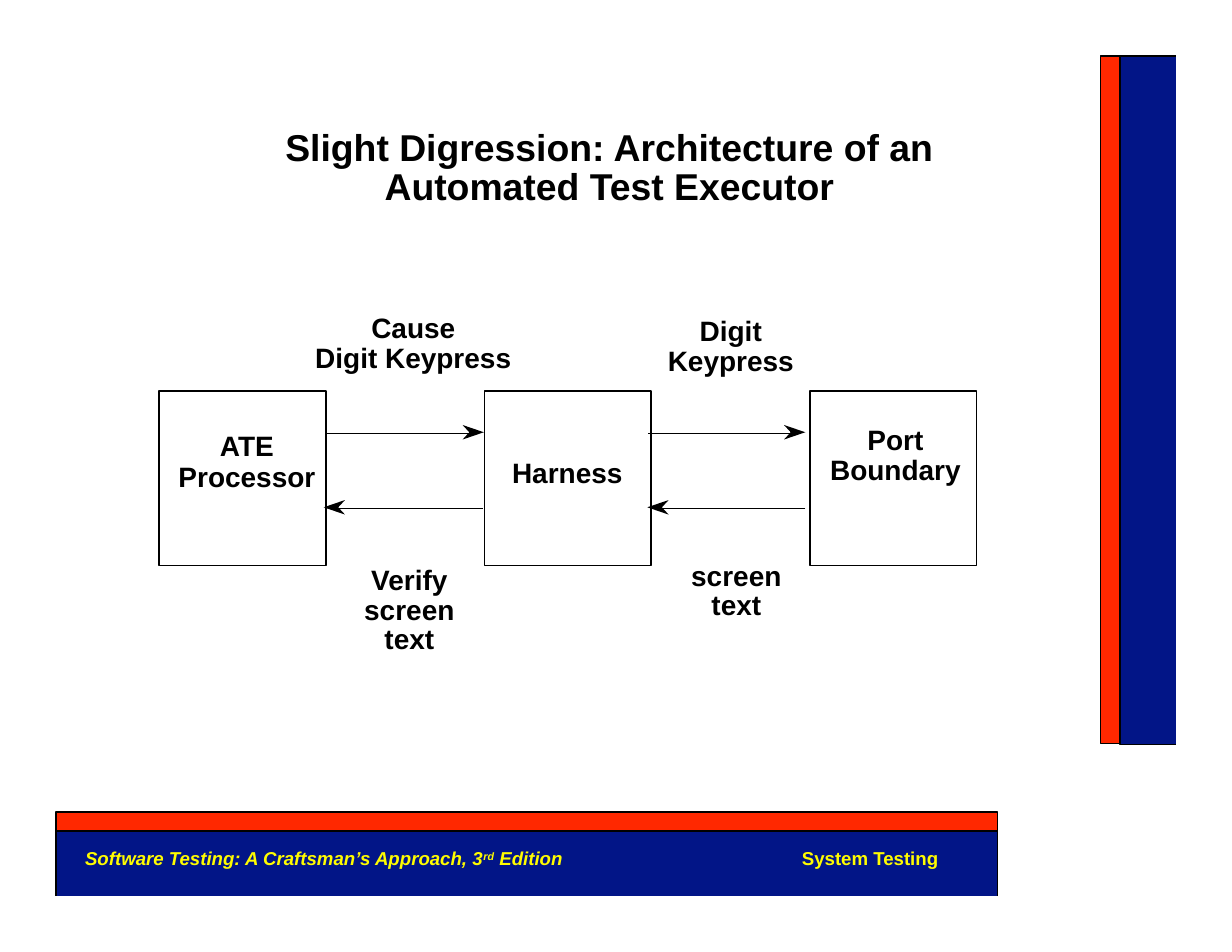
from lxml.etree import SubElement
from pptx import Presentation
from pptx.dml.color import RGBColor
from pptx.enum.shapes import MSO_CONNECTOR, MSO_SHAPE
from pptx.enum.text import PP_ALIGN
from pptx.oxml.ns import qn
from pptx.util import Inches, Pt

THEME = {
    "font": "Arial",
    "navy": RGBColor(0x02, 0x15, 0x87),
    "red": RGBColor(0xFF, 0x28, 0x00),
    "yellow": RGBColor(0xFF, 0xFC, 0x00),
    "black": RGBColor(0, 0, 0),
    "title": 24, "label": 18, "footer": 12,
    "bar_line": 0.72, "box_line": 1,
}

# Content: lines, text area (left, top, width, height), line spacing in points
TITLE = (["Slight Digression: Architecture of an", "Automated Test Executor"],
         (2.48, 1.16, 5.92, 0.71), 25)
LABELS = [
    (["ATE", "Processor"], (1.58, 3.84, 1.25, 0.54), 20.3),
    (["Harness"], (4.51, 4.07, 1.11, 0.28), None),
    (["Port", "Boundary"], (7.4, 3.81, 1.19, 0.54), 19),
    (["Cause", "Digit Keypress"], (2.8, 2.81, 1.78, 0.54), 19),
    (["Digit", "Keypress"], (5.95, 2.84, 1.15, 0.54), 19),
    (["Verify", "screen", "text"], (3.24, 5.06, 0.83, 0.81), 19),
    (["screen", "text"], (6.16, 5.02, 0.83, 0.54), 19),
]
BOOK = [("Software Testing: A Craftsman’s Approach, 3", False),
        ("rd", True), (" Edition", False)]
CHAPTER = "System Testing"

# Box row: three equal boxes at an equal pitch
BOX_LEFT, BOX_TOP, BOX_WIDTH, BOX_HEIGHT, BOX_PITCH = 1.42, 3.49, 1.49, 1.56, 2.905

# Arrows: tail x, tip x, line y
ARROWS = [(2.92, 4.32, 3.87), (5.79, 7.19, 3.87),
          (4.31, 2.89, 4.54), (7.19, 5.78, 4.54)]
HEAD_LENGTH, HEAD_NOTCH, HEAD_HALF = 0.19, 0.13, 0.065

# Bars: colour, outline points, whether the outline is closed
BARS = [
    ("navy", [(10.5, 0.5), (10, 0.5), (10, 6.65), (10.5, 6.65)], False),
    ("red", [(9.83, 0.5), (10, 0.5), (10, 6.64), (9.83, 6.64)], True),
    ("navy", [(8.91, 8), (8.91, 7.42), (0.5, 7.42), (0.5, 8)], False),
    ("red", [(0.5, 7.25), (8.91, 7.25), (8.91, 7.42), (0.5, 7.42)], True),
]

prs = Presentation()
prs.slide_width, prs.slide_height = Inches(11), Inches(8.5)
slide = prs.slides.add_slide(prs.slide_layouts[6])
shapes = slide.shapes


def add_outline(points, closed, color):
    corners = [(Inches(x), Inches(y)) for x, y in points]
    builder = shapes.build_freeform(*corners[0])
    builder.add_line_segments(corners[1:], close=closed)
    outline = builder.convert_to_shape()
    outline.shadow.inherit = False
    outline.fill.solid()
    outline.fill.fore_color.rgb = THEME[color]
    return outline


def set_line(line, width):
    line.color.rgb = THEME["black"]
    line.width = Pt(width)


def add_text(area, size, color, align, spacing=None):
    frame = shapes.add_textbox(*map(Inches, area)).text_frame
    frame.word_wrap = True
    frame.margin_left = frame.margin_right = 0
    frame.margin_top = frame.margin_bottom = 0
    paragraph = frame.paragraphs[0]
    paragraph.alignment = align
    if spacing:
        paragraph.line_spacing = Pt(spacing)
    font = paragraph.font
    font.name, font.size, font.bold = THEME["font"], Pt(THEME[size]), True
    font.color.rgb = THEME[color]
    return paragraph


def add_arrow(tail, tip, y):
    forward = 1 if tip > tail else -1
    back, notch = tip - forward * HEAD_LENGTH, tip - forward * HEAD_NOTCH
    shaft = shapes.add_connector(MSO_CONNECTOR.STRAIGHT, Inches(tail), Inches(y),
                                 Inches(notch), Inches(y))
    set_line(shaft.line, THEME["box_line"])
    SubElement(shaft._element.spPr, qn("a:effectLst"))
    middle = y - 0.01
    head = add_outline([(back, middle - HEAD_HALF), (notch, middle),
                        (back, middle + HEAD_HALF), (tip, middle)], True, "black")
    head.line.fill.background()


# Side and footer bars
for color, points, closed in BARS:
    set_line(add_outline(points, closed, color).line, THEME["bar_line"])

# Component boxes
for i in range(3):
    box = shapes.add_shape(MSO_SHAPE.RECTANGLE, Inches(BOX_LEFT + i * BOX_PITCH),
                           Inches(BOX_TOP), Inches(BOX_WIDTH), Inches(BOX_HEIGHT))
    box.shadow.inherit = False
    box.fill.background()
    set_line(box.line, THEME["box_line"])

# Message arrows
for arrow in ARROWS:
    add_arrow(*arrow)

# Title and diagram labels
for size, entries in (("title", [TITLE]), ("label", LABELS)):
    for lines, area, spacing in entries:
        add_text(area, size, "black", PP_ALIGN.CENTER, spacing).text = "\v".join(lines)

# Footer
book = add_text((0.76, 7.56, 4.6, 0.21), "footer", "yellow", PP_ALIGN.LEFT)
book.font.italic = True
for text, raised in BOOK:
    run = book.add_run()
    run.text = text
    if raised:
        run.font._element.set("baseline", "28000")
add_text((7.16, 7.56, 1.4, 0.19), "footer", "yellow", PP_ALIGN.LEFT).text = CHAPTER

prs.save("out.pptx")
